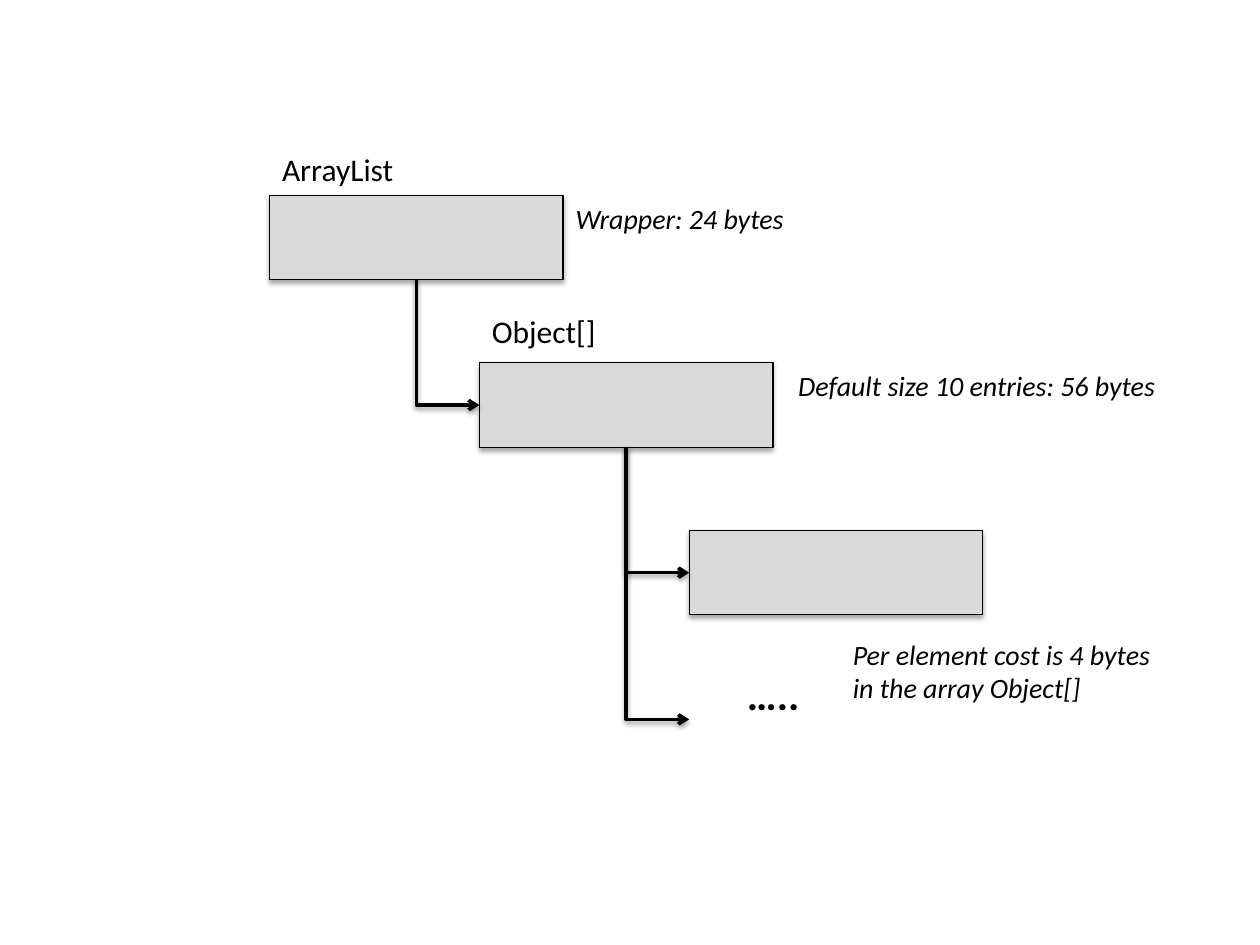
from dataclasses import dataclass

from lxml import etree
from pptx import Presentation
from pptx.dml.color import RGBColor
from pptx.enum.shapes import MSO_CONNECTOR, MSO_SHAPE
from pptx.enum.text import MSO_AUTO_SIZE
from pptx.oxml.ns import qn
from pptx.util import Inches, Pt

RECTANGLE = MSO_SHAPE.RECTANGLE
ELBOW = MSO_CONNECTOR.ELBOW
FIT_TEXT = MSO_AUTO_SIZE.SHAPE_TO_FIT_TEXT


@dataclass(frozen=True)
class Theme:
    font: str = "Calibri"
    ink: RGBColor = RGBColor(0x00, 0x00, 0x00)
    block_fill: RGBColor = RGBColor(0xD9, 0xD9, 0xD9)
    dots_size: int = 24
    label_size: int = 18
    note_size: int = 16
    border: float = 0.75
    arrow: float = 2


@dataclass(frozen=True)
class Block:
    left: float
    top: float
    width: float = 2.33
    height: float = 0.67


@dataclass(frozen=True)
class Caption:
    lines: tuple[str, ...]
    left: float
    top: float
    width: float
    height: float
    size: int
    bold: bool = False
    italic: bool = False
    wrap: bool = False
    inset: float = 0.1


THEME = Theme()
BLOCKS = [Block(2.14 + 1.665 * step, 1.55 + 1.33 * step) for step in range(3)]
WRAPPER, ARRAY, ELEMENT = BLOCKS
ARROWS = [
    (WRAPPER, ARRAY.top + ARRAY.height / 2),
    (ARRAY, ELEMENT.top + ELEMENT.height / 2),
    (ARRAY, 5.71),
]
ARROW_REACH = 0.5
CAPTIONS = [
    Caption(("…..",), 5.83, 5.26, 0.62, 0.5, THEME.dots_size, bold=True),
    Caption(("ArrayList",), WRAPPER.left, 1.14, 1.1, 0.4, THEME.label_size),
    Caption(("Object[]",), ARRAY.left, 2.43, 1.03, 0.4, THEME.label_size),
    Caption(("Default size 10 entries: 56 bytes",), ARRAY.left + ARRAY.width, ARRAY.top,
            5, 0.64, THEME.note_size, italic=True, wrap=True, inset=0.2),
    Caption(("Wrapper: 24 bytes",), WRAPPER.left + WRAPPER.width, WRAPPER.top,
            1.93, 0.37, THEME.note_size, italic=True),
    Caption(("Per element cost is 4 bytes", "in the array Object[]"), 6.67, 5.01,
            2.65, 0.64, THEME.note_size, italic=True),
]


def add_shadow(properties, distance: float, opacity: int) -> None:
    effects = etree.SubElement(properties, qn("a:effectLst"))
    shadow = etree.SubElement(
        effects, qn("a:outerShdw"), blurRad=str(Pt(3.1)), dist=str(Pt(distance)),
        dir="5400000", rotWithShape="0")
    color = etree.SubElement(shadow, qn("a:srgbClr"), val=str(THEME.ink))
    etree.SubElement(color, qn("a:alpha"), val=str(opacity * 1000))


def add_block(slide, block: Block) -> None:
    shape = slide.shapes.add_shape(
        RECTANGLE, Inches(block.left), Inches(block.top),
        Inches(block.width), Inches(block.height))
    shape.fill.solid()
    shape.fill.fore_color.rgb = THEME.block_fill
    shape.line.color.rgb = THEME.ink
    shape.line.width = Pt(THEME.border)
    add_shadow(shape.element.spPr, 1.8, 35)


def add_arrow(slide, source: Block, end_y: float) -> None:
    start_x = source.left + source.width / 2
    start_y = source.top + source.height
    drop = end_y - start_y
    left = start_x + (ARROW_REACH - drop) / 2
    top = start_y + (drop - ARROW_REACH) / 2
    connector = slide.shapes.add_connector(
        ELBOW, Inches(left + drop), Inches(top), Inches(left), Inches(top + ARROW_REACH))
    connector.line.color.rgb = THEME.ink
    connector.line.width = Pt(THEME.arrow)
    properties = connector.element.spPr
    properties.find(qn("a:xfrm")).set("rot", str(270 * 60000))
    properties.find(qn("a:prstGeom")).set("prst", "bentConnector2")
    etree.SubElement(properties.find(qn("a:ln")), qn("a:tailEnd"), type="arrow")
    add_shadow(properties, 1.6, 38)


def add_caption(slide, caption: Caption) -> None:
    shape = slide.shapes.add_textbox(
        Inches(caption.left), Inches(caption.top),
        Inches(caption.width), Inches(caption.height))
    frame = shape.text_frame
    frame.word_wrap = caption.wrap
    frame.auto_size = FIT_TEXT
    frame.margin_left = Inches(caption.inset)
    for index, line in enumerate(caption.lines):
        paragraph = frame.add_paragraph() if index else frame.paragraphs[0]
        run = paragraph.add_run()
        run.text = line
        run.font.name = THEME.font
        run.font.size = Pt(caption.size)
        run.font.bold = caption.bold
        run.font.italic = caption.italic
        run.font.color.rgb = THEME.ink


def main() -> None:
    presentation = Presentation()
    presentation.slide_width = Inches(10)
    presentation.slide_height = Inches(7.5)
    slide = presentation.slides.add_slide(presentation.slide_layouts.get_by_name("Blank"))
    for block in BLOCKS:
        add_block(slide, block)
    for source, end_y in ARROWS:
        add_arrow(slide, source, end_y)
    for caption in CAPTIONS:
        add_caption(slide, caption)
    presentation.save("out.pptx")


main()
